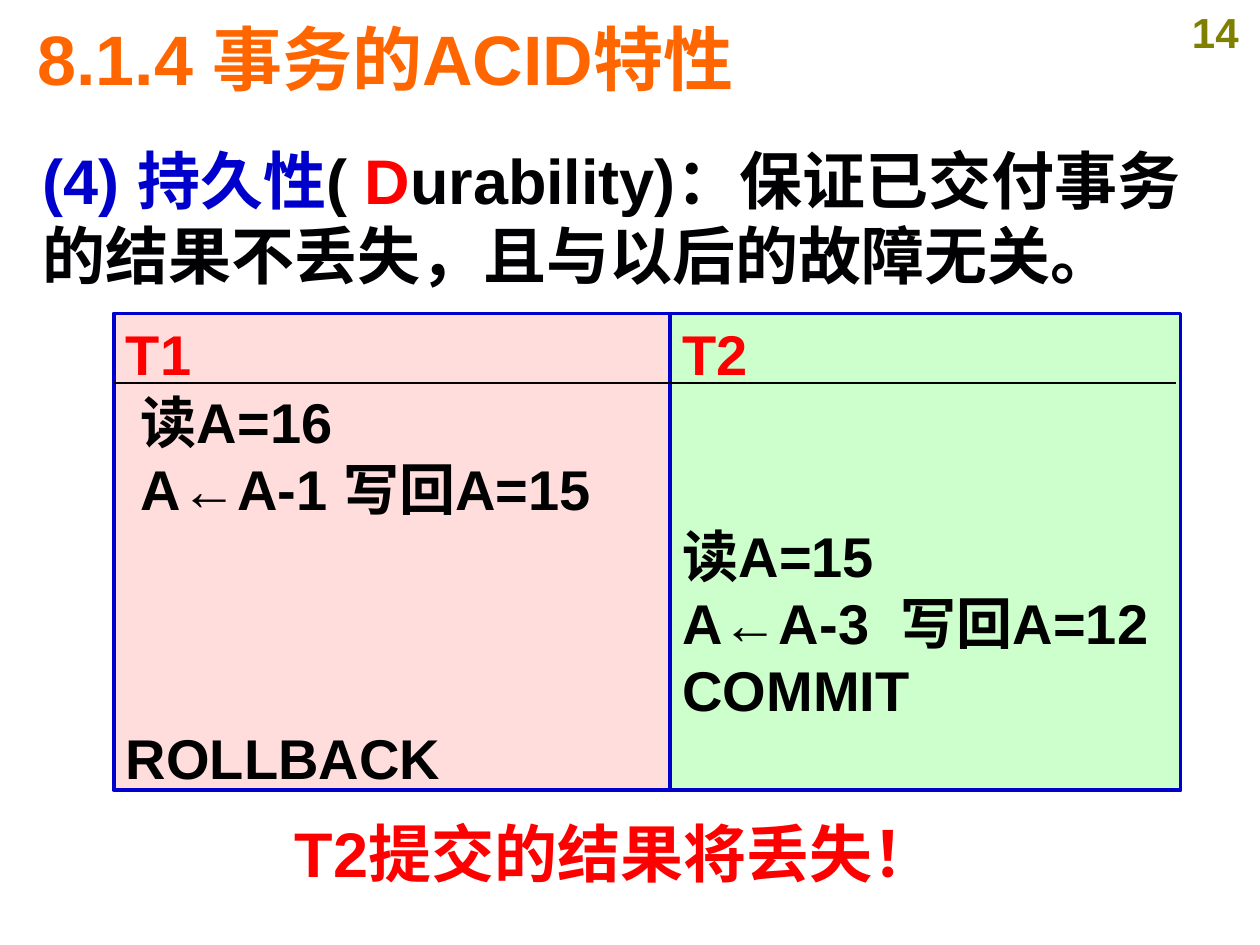
from lxml.etree import SubElement
from pptx import Presentation
from pptx.dml.color import RGBColor as RGB
from pptx.enum.shapes import MSO_CONNECTOR as Link, MSO_SHAPE as Shape
from pptx.enum.text import MSO_ANCHOR as Anchor, PP_ALIGN as Align
from pptx.oxml.ns import qn
from pptx.util import Cm, Pt

HUES = {
    "blue": "0000CC", "ink": "010103", "red": "FF0000", "black": "000000",
    "orange": "FF6600", "olive": "808000", "pink": "FFDDDD", "green": "CCFFCC",
}
LEAD = 1.2  # line height as a multiple of the font size
TOP, LOW = 6.32, 15.93  # upper and lower edge of the schedule
LEFT, MID, RIGHT = 2.29, 13.51, 23.8


def hue(name):
    return RGB.from_string(HUES[name])


def write(frame, paras, size, anchor=Anchor.TOP, align=Align.LEFT, lead=None):
    """Fill a frame; each paragraph is (runs, space before in pt, indent in cm)."""
    form = {
        "word_wrap": True, "vertical_anchor": anchor,
        "margin_left": Cm(0.25), "margin_right": Cm(0.25),
        "margin_top": Cm(0.13), "margin_bottom": Cm(0.13),
    }
    for key, val in form.items():
        setattr(frame, key, val)
    for i, (runs, gap, dent) in enumerate(paras):
        para = frame.add_paragraph() if i else frame.paragraphs[0]
        para.alignment = align
        if lead:
            para.line_spacing = Pt(lead)
        if gap:
            para.space_before = Pt(gap)
        if dent:
            para._p.get_or_add_pPr().set("marL", str(Cm(dent)))
        for text, tint in runs:
            run = para.add_run()
            run.text = text
            for key, val in {"name": "Arial", "size": Pt(size), "bold": True}.items():
                setattr(run.font, key, val)
            run.font.color.rgb = hue(tint)


def add_text(slide, box, paras, size, **form):
    shape = slide.shapes.add_textbox(*map(Cm, box))
    write(shape.text_frame, paras, size, **form)


def add_panel(slide, left, right, fill, name, steps):
    """Draw one transaction; each step is (text, empty rows above, indent)."""
    box = (left, TOP, right - left, LOW - TOP)
    shape = slide.shapes.add_shape(Shape.RECTANGLE, *map(Cm, box))
    shape.shadow.inherit = False
    shape.fill.solid()
    shape.fill.fore_color.rgb = hue(fill)
    shape.line.color.rgb = hue("blue")
    shape.line.width = Pt(2.25)
    size = 32
    row = size * LEAD
    paras = [([(name, "red")], 0, 0)]
    paras += [([(text, "black")], skip * row, dent) for text, skip, dent in steps]
    write(shape.text_frame, paras, size, lead=row)


def add_rule(slide, left, right, top):
    line = slide.shapes.add_connector(
        Link.STRAIGHT, Cm(left), Cm(top), Cm(right), Cm(top))
    line.line.color.rgb = hue("black")
    line.line.width = Pt(1)
    SubElement(line._element.spPr, qn("a:effectLst"))


def main():
    deck = Presentation()
    deck.slide_width, deck.slide_height = Cm(25.4), Cm(19.05)
    slide = deck.slides.add_slide(deck.slide_layouts[6])

    add_text(slide, (23.6, 0, 1.8, 1.27), [([("14", "olive")], 0, 0)], 24,
             align=Align.CENTER)
    claim = [
        ("(4) 持久性", "blue"), ("( ", "ink"), ("D", "red"),
        ("urability)：保证已交付事务的结果不丢失，且与以后的故障无关。", "ink"),
    ]
    result = [("T2提交的结果将丢失！", "red")]
    add_text(slide, (0.61, 2.72, 24.28, 15.88),
             [(claim, 0, 0), (result, 298, 5.08)], 36, lead=36 * LEAD)
    add_text(slide, (0.51, 0.2, 24.13, 1.93),
             [([("8.1.4 事务的ACID特性", "orange")], 0, 0)], 40,
             anchor=Anchor.MIDDLE)

    add_panel(slide, MID, RIGHT, "green", "T2", [
        ("读A=15", 2, 0), ("A←A-3  写回A=12", 0, 0), ("COMMIT", 0, 0)])
    add_panel(slide, LEFT, MID, "pink", "T1", [
        ("读A=16", 0, 0.3), ("A←A-1 写回A=15", 0, 0.3), ("ROLLBACK", 3, 0)])
    add_rule(slide, LEFT, 23.7, 7.72)
    deck.save("out.pptx")


if __name__ == "__main__":
    main()
